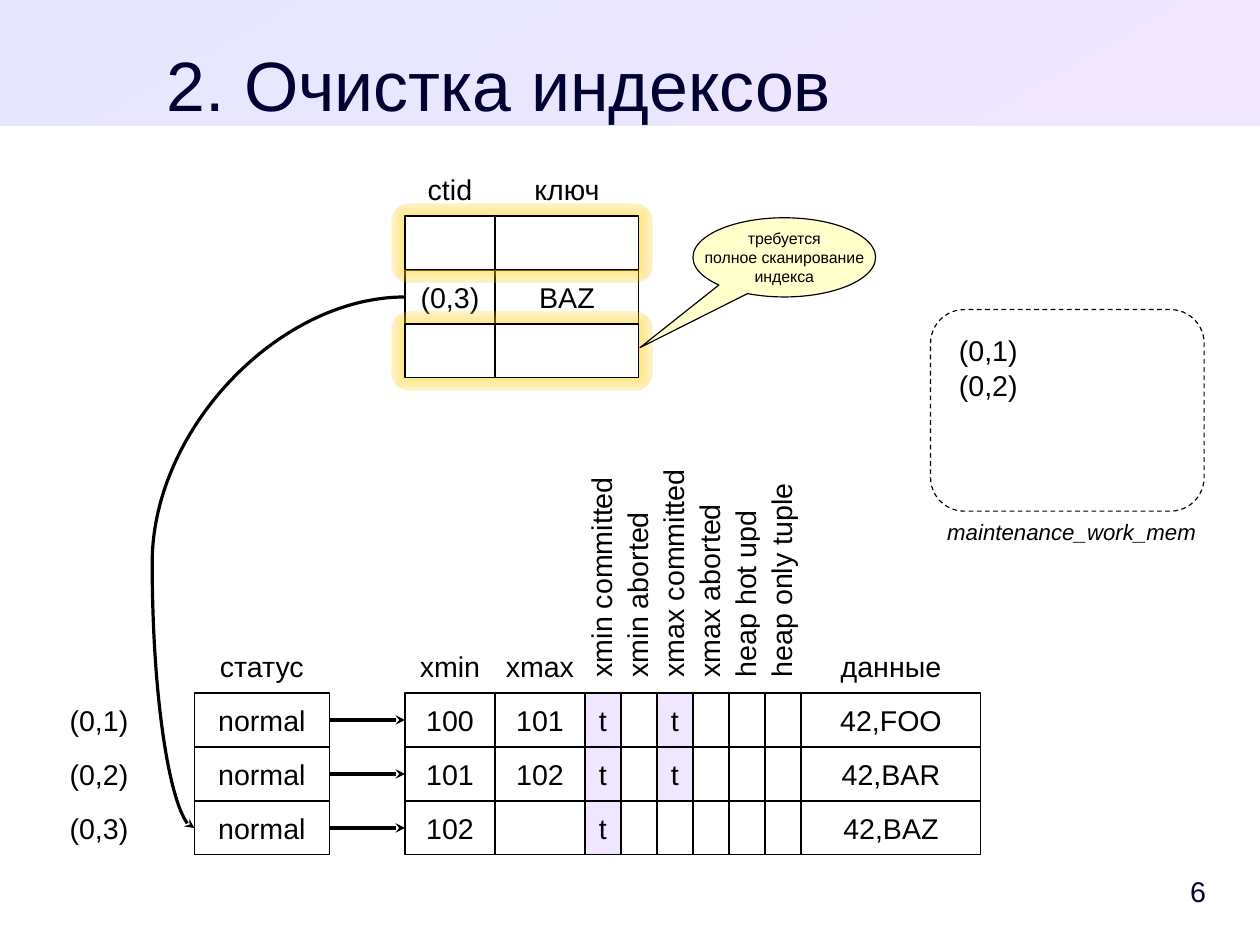
from itertools import accumulate

from lxml.etree import SubElement
from pptx import Presentation
from pptx.dml.color import RGBColor
from pptx.enum.dml import MSO_LINE
from pptx.enum.shapes import MSO_CONNECTOR, MSO_SHAPE
from pptx.enum.text import MSO_ANCHOR, MSO_AUTO_SIZE, PP_ALIGN
from pptx.oxml.ns import qn
from pptx.util import Cm, Pt

UNIT = Cm(0.4)
COLUMNS, ROWS = 70, 52.5
ROW_HEIGHT = 3
BLACK, WHITE, NAVY = "000000", "FFFFFF", "000033"
LILAC, BLUE, GOLD, CREAM = "F0E6FF", "E6E6FF", "FFCC00", "FFFFCC"


def color(value):
    return RGBColor.from_string(value)


def units(*lengths):
    """Convert grid columns and rows to slide lengths."""
    return [round(length * UNIT) for length in lengths]


def apply(target, values):
    for name, value in values.items():
        setattr(target, name, value)


class DiagramSlide:
    """Holds the text style and the slide; places elements on the grid."""

    font = {"name": "Arial", "size": Pt(18), "italic": False}
    frame = {"word_wrap": False, "auto_size": MSO_AUTO_SIZE.NONE,
             "vertical_anchor": MSO_ANCHOR.MIDDLE}

    def __init__(self, presentation):
        self.slide = presentation.slides.add_slide(presentation.slide_layouts[5])
        self.shapes = self.slide.shapes

    def set_text(self, shape, text, align=PP_ALIGN.CENTER, ink=BLACK, frame=None, font=None):
        text_frame = shape.text_frame
        text_frame.text = text
        apply(text_frame, self.frame | (frame or {}))
        for paragraph in text_frame.paragraphs:
            paragraph.alignment = align
            for run in paragraph.runs:
                apply(run.font, self.font | (font or {}))
                run.font.color.rgb = color(ink)

    def title(self, text, left, top, width, height):
        title = self.shapes.title
        place = units(left, top, width, height)
        apply(title, dict(zip(("left", "top", "width", "height"), place)))
        margins = dict.fromkeys(
            ("margin_left", "margin_top", "margin_right", "margin_bottom"), 0)
        self.set_text(title, text, ink=NAVY, font={"size": Pt(44)},
                      frame=margins | {"vertical_anchor": MSO_ANCHOR.TOP})
        title.text_frame.paragraphs[0].line_spacing = 1.1

    def box(self, left, top, width, height, text="", kind=MSO_SHAPE.RECTANGLE,
            fill=WHITE, line=BLACK, adjustments=(), **style):
        shape = self.shapes.add_shape(kind, *units(left, top, width, height))
        shape.shadow.inherit = False
        for index, value in enumerate(adjustments):
            shape.adjustments[index] = value
        shape.fill.solid()
        shape.fill.fore_color.rgb = color(fill)
        if line:
            shape.line.color.rgb = color(line)
            shape.line.width = Pt(0)
        else:
            shape.line.fill.background()
        if text:
            self.set_text(shape, text, **style)
        return shape

    def text(self, left, top, width, height, text, **style):
        shape = self.shapes.add_textbox(*units(left, top, width, height))
        self.set_text(shape, text, **style)

    def gradient(self, shape, *stops):
        shape.fill.gradient()
        for stop, value in zip(shape.fill.gradient_stops, stops):
            stop.color.rgb = color(value)

    def banner(self, height):
        banner = self.box(0, 0, COLUMNS, height, line=None)
        self.gradient(banner, BLUE, LILAC)
        banner.fill.gradient_angle = 300
        self.shapes.title.element.addprevious(banner.element)

    def glow(self, left, top, width, height):
        """Add a golden halo that fades towards its edges."""
        halo = self.box(left, top, width, height, kind=MSO_SHAPE.ROUNDED_RECTANGLE,
                        line=None, adjustments=[0.24])
        self.gradient(halo, GOLD, GOLD)
        gradient = halo.element.spPr.find(qn("a:gradFill"))
        outer_color = gradient.findall(".//" + qn("a:srgbClr"))[-1]
        SubElement(outer_color, qn("a:alpha"), val="20000")
        linear = gradient.find(qn("a:lin"))
        if linear is not None:
            gradient.remove(linear)
        center = SubElement(gradient, qn("a:path"), {"path": "rect"})
        SubElement(center, qn("a:fillToRect"), dict.fromkeys("ltrb", "50000"))

    def arrow(self, start, end, bend=0.5):
        """Add a curved arrow; bend is the share of its width where it turns."""
        connector = self.shapes.add_connector(MSO_CONNECTOR.CURVE, *units(*start, *end))
        connector.line.color.rgb = color(BLACK)
        connector.line.width = Pt(0)
        properties = connector.element.spPr
        line = properties.find(qn("a:ln"))
        SubElement(line, qn("a:tailEnd"), type="stealth")
        SubElement(properties, qn("a:effectLst"))
        guides = properties.find(qn("a:prstGeom")).find(qn("a:avLst"))
        SubElement(guides, qn("a:gd"), name="adj1", fmla=f"val {round(bend * 100000)}")


def draw_index(diagram, left, top):
    columns = [("ctid", left, 5), ("ключ", left + 5, 8)]
    for name, x, width in columns:
        diagram.box(x, top - ROW_HEIGHT, width, ROW_HEIGHT, name, line=None)
    rows = {1: ("(0,3)", "BAZ"), 0: ("", ""), 2: ("", "")}
    for row, values in rows.items():
        y = top + row * ROW_HEIGHT
        if not any(values):
            diagram.glow(left - 0.75, y - 0.7, 14.5, 4.4)
        for (_, x, width), value in zip(columns, values):
            diagram.box(x, y, width, ROW_HEIGHT, value)


def draw_heap(diagram, left, top):
    flags = ["xmin committed", "xmin aborted", "xmax committed",
             "xmax aborted", "heap hot upd", "heap only tuple"]
    rows = [("100", "101", "t", "", "t", "", "", "", "42,FOO"),
            ("101", "102", "t", "", "t", "", "", "", "42,BAR"),
            ("102", "", "t", "", "", "", "", "", "42,BAZ")]
    widths = [5, 5] + [2] * len(flags) + [10]
    edges = list(accumulate(widths, initial=left))
    status_left, status_width = 10.8, 7.5
    status_right = status_left + status_width
    header_top = top - ROW_HEIGHT

    label_length, label_height = 13.3, 2.3
    for flag, x in zip(flags, edges[2:]):
        label = diagram.box(x + 0.87 - label_length / 2, 31.6 - label_height / 2,
                            label_length, label_height, flag, line=None,
                            align=PP_ALIGN.LEFT)
        label.rotation = 270
    headers = [("статус", status_left, status_width), ("xmin", edges[0], 5),
               ("xmax", edges[1], 5), ("данные", edges[-2], 10)]
    for name, x, width in headers:
        diagram.box(x, header_top, width, ROW_HEIGHT, name, line=None)

    for number, values in enumerate(rows):
        y = top + number * ROW_HEIGHT
        middle = y + ROW_HEIGHT / 2
        diagram.box(3, y, 5, ROW_HEIGHT, f"(0,{number + 1})", line=None)
        diagram.arrow((status_right, middle), (left, middle))
        diagram.box(status_left, y, status_width, ROW_HEIGHT, "normal")
        for x, width, value in zip(edges, widths, values):
            diagram.box(x, y, width, ROW_HEIGHT, value,
                        fill=LILAC if value == "t" else WHITE)


def draw_memory(diagram):
    memory = diagram.box(51.7, 17.2, 15.2, 11.2, kind=MSO_SHAPE.ROUNDED_RECTANGLE,
                         adjustments=[0.167])
    memory.line.dash_style = MSO_LINE.DASH
    style = {"align": PP_ALIGN.LEFT, "frame": {"vertical_anchor": MSO_ANCHOR.TOP}}
    diagram.text(52.65, 18.2, 4.5, 4.2, "(0,1)\n(0,2)", **style)
    diagram.text(52, 28.5, 15.1, 2.05, "maintenance_work_mem",
                 font={"size": Pt(14), "italic": True}, **style)


def main():
    presentation = Presentation()
    presentation.slide_width, presentation.slide_height = units(COLUMNS, ROWS)
    diagram = DiagramSlide(presentation)
    diagram.banner(7)
    diagram.title("2. Очистка индексов", 3, 1.85, 49.5, 4.4)
    diagram.text(61.5, 48, 5.5, 3, "6", align=PP_ALIGN.RIGHT, ink=NAVY,
                 frame={"margin_right": 0})
    draw_memory(diagram)
    draw_heap(diagram, 22.5, 38.5)
    diagram.arrow((22.5, 16.5), (10.8, 46), bend=1.2)
    draw_index(diagram, 22.5, 12)
    diagram.box(38.5, 12.1, 10.15, 4.4, "требуется\nполное сканирование\nиндекса",
                kind=MSO_SHAPE.OVAL_CALLOUT, fill=CREAM,
                adjustments=[-0.79, 1.14], font={"size": Pt(10)})
    presentation.save("out.pptx")


if __name__ == "__main__":
    main()
